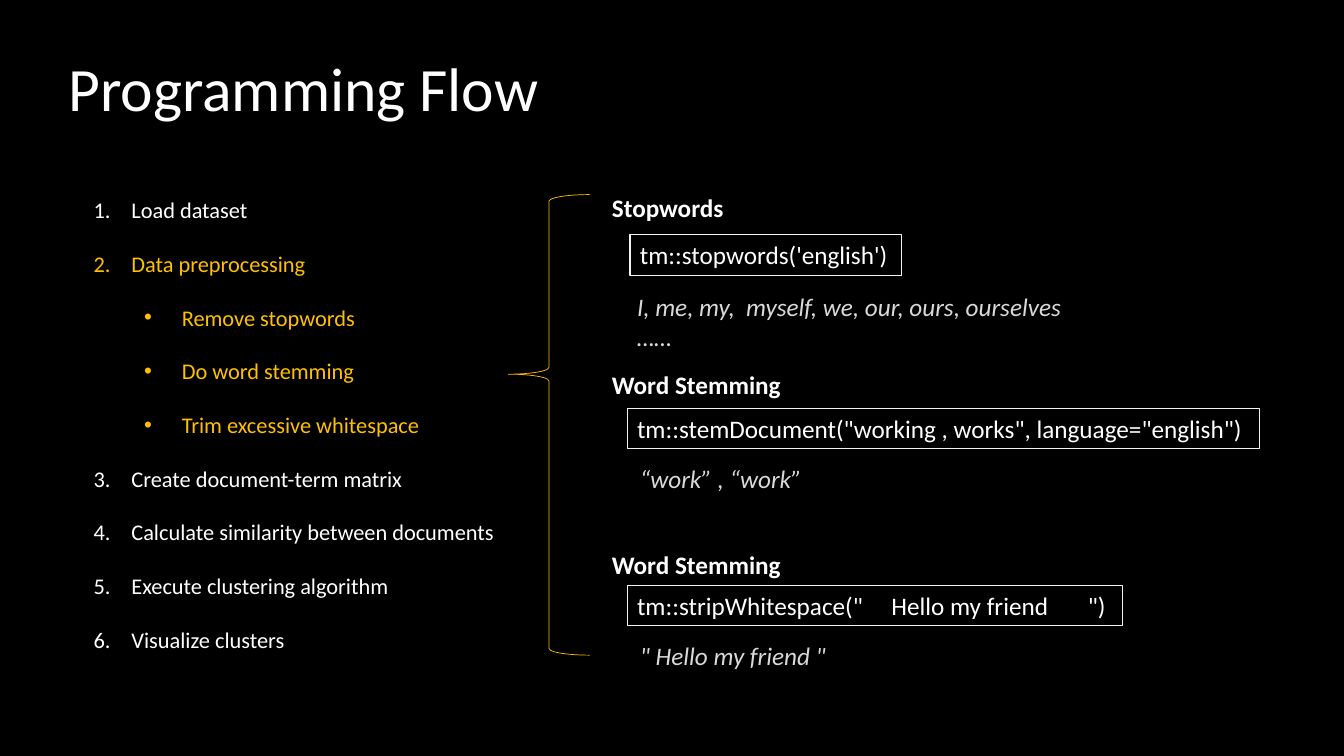
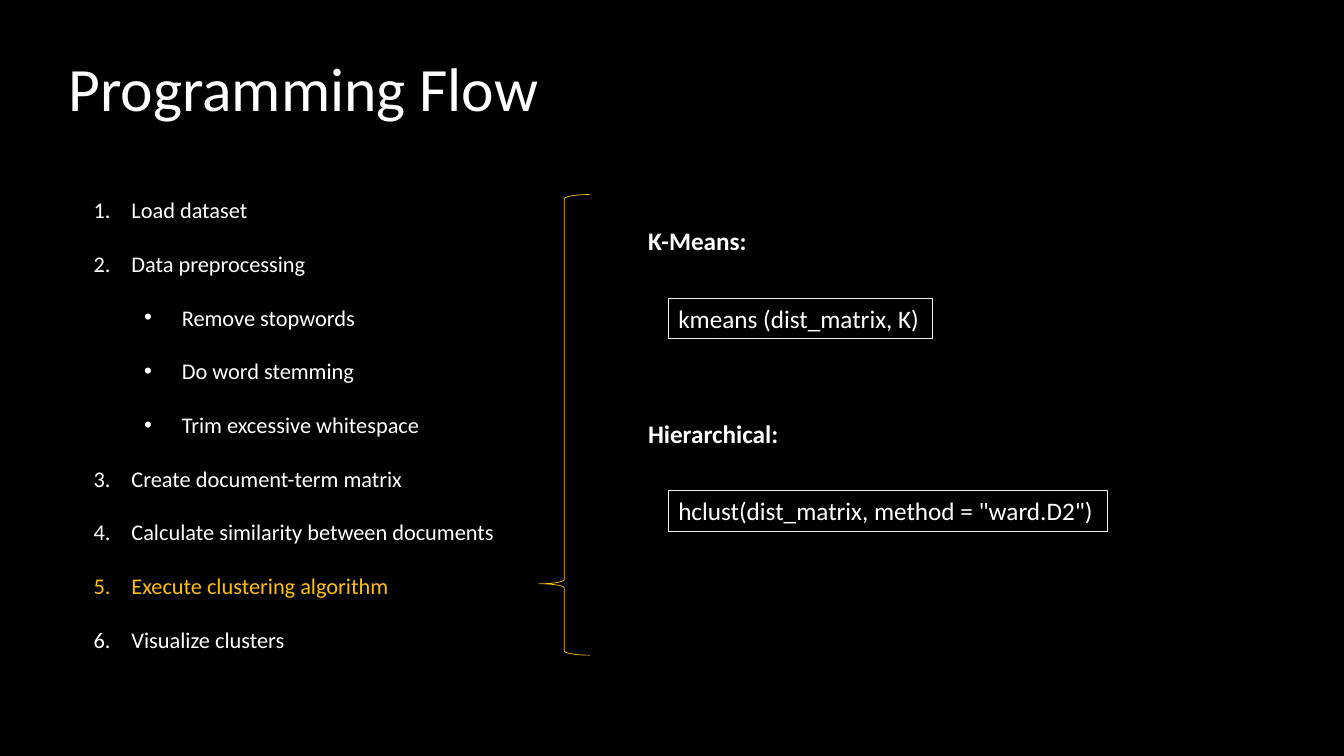
from lxml.etree import SubElement
from pptx import Presentation
from pptx.dml.color import RGBColor
from pptx.enum.shapes import MSO_SHAPE
from pptx.enum.text import MSO_ANCHOR, MSO_AUTO_SIZE
from pptx.oxml.ns import qn
from pptx.util import Pt

FONT = "Calibri"
BLACK, WHITE, GOLD = "000000", "FFFFFF", "FFC000"
LIGHT, GREY = "F2F2F2", "D9D9D9"

# Content shared by both slides: outline entries as (level, text)
TITLE = "Programming Flow"
STEPS = [
    (0, "Load dataset"),
    (0, "Data preprocessing"),
    (1, "Remove stopwords"),
    (1, "Do word stemming"),
    (1, "Trim excessive whitespace"),
    (0, "Create document-term matrix"),
    (0, "Calculate similarity between documents"),
    (0, "Execute clustering algorithm"),
    (0, "Visualize clusters"),
]

# Content per slide: details are (role, text, left, top, width)
SLIDES = [
    {
        "active": range(1, 5),
        "outline_height": 350.6,
        "brace": {"left": 363, "point": 0.39},
        "heading_spacing": 1.75,
        "details": [
            ("heading", "Stopwords", 430, 117.4, 95),
            ("code", "tm::stopwords('english')", 450, 167.6, 193.7),
            ("result", "I, me, my,  myself, we, our, ours, ourselves ……", 448, 204.5, 346),
            ("heading", "Word Stemming", 430, 244, 136),
            ("code", 'tm::stemDocument("working , works", language="english")', 448, 291.6, 452),
            ("result", "“work” , “work”", 450, 327.6, 131),
            ("heading", "Word Stemming", 430, 373, 136),
            ("code", 'tm::stripWhitespace("     Hello my friend       ")', 448, 418, 354),
            ("result", '" Hello my friend "', 450, 453.6, 151),
        ],
    },
    {
        "active": [7],
        "outline_height": 356.4,
        "brace": {"left": 385, "point": 0.845},
        "heading_spacing": 1,
        "details": [
            ("heading", "K-Means:", 455.8, 157.7, 85.7),
            ("code", "kmeans (dist_matrix, K)", 477.4, 213, 188.6),
            ("heading", "Hierarchical:", 455.8, 295, 112.3),
            ("code", 'hclust(dist_matrix, method = "ward.D2")', 477.4, 350.6, 314),
        ],
    },
]

ROLES = {
    "heading": {"color": WHITE, "bold": True},
    "code": {"color": WHITE},
    "result": {"color": GREY, "italic": True},
}
BRACE_TOP, BRACE_RIGHT, BRACE_HEIGHT = 139, 421.2, 329


def rgb(value):
    return RGBColor.from_string(value)


def style(para, size, color, bold=False, italic=False, spacing=1):
    font = para.font
    font.name, font.size, font.bold, font.italic = FONT, Pt(size), bold, italic
    font.color.rgb = rgb(color)
    para.line_spacing = spacing


def add_box(page, left, top, width, height):
    return page.shapes.add_textbox(Pt(left), Pt(top), Pt(width), Pt(height))


def add_title(page):
    frame = add_box(page, 41.8, 13, 828, 104.4).text_frame
    frame.word_wrap = True
    frame.vertical_anchor = MSO_ANCHOR.MIDDLE
    frame.text = TITLE
    style(frame.paragraphs[0], 44, WHITE, spacing=0.9)


def set_bullet(para, level):
    properties = para._p.get_or_add_pPr()
    properties.set("marL", str(Pt(27 + 36 * level)))
    properties.set("indent", str(Pt(-27)))
    # The bullet has to precede the default run properties
    font_properties = properties.find(qn("a:defRPr"))
    typeface = SubElement(properties, qn("a:buFont"), typeface="Arial" if level else "+mj-lt")
    if level:
        bullet = SubElement(properties, qn("a:buChar"), char="•")
    else:
        bullet = SubElement(properties, qn("a:buAutoNum"), type="arabicPeriod")
    for element in (typeface, bullet):
        font_properties.addprevious(element)


def add_outline(page, active, height):
    frame = add_box(page, 59.8, 117.4, 352, height).text_frame
    frame.word_wrap = True
    for index, (level, text) in enumerate(STEPS):
        para = frame.add_paragraph() if index else frame.paragraphs[0]
        para.text, para.level = text, level
        style(para, 16, GOLD if index in active else WHITE, spacing=2.0)
        set_bullet(para, level)


def add_brace(page, left, point):
    brace = page.shapes.add_shape(MSO_SHAPE.LEFT_BRACE, Pt(left), Pt(BRACE_TOP),
                                  Pt(BRACE_RIGHT - left), Pt(BRACE_HEIGHT))
    brace.shadow.inherit = False
    brace.fill.background()
    brace.line.color.rgb = rgb(GOLD)
    brace.line.width = Pt(0.5)
    brace.adjustments[0] = 0.083
    brace.adjustments[1] = point


def add_detail(page, role, text, left, top, width, heading_spacing):
    spacing = heading_spacing if role == "heading" else 1
    box = add_box(page, left, top, width, 41 if spacing > 1 else 29)
    if role == "code":
        box.line.color.rgb = rgb(LIGHT)
        box.line.width = Pt(0.75)
    frame = box.text_frame
    frame.word_wrap = False
    frame.auto_size = MSO_AUTO_SIZE.SHAPE_TO_FIT_TEXT
    frame.text = text
    style(frame.paragraphs[0], 18, spacing=float(spacing), **ROLES[role])


def main():
    deck = Presentation()
    deck.slide_width, deck.slide_height = Pt(960), Pt(540)
    for content in SLIDES:
        page = deck.slides.add_slide(deck.slide_layouts[6])
        page.background.fill.solid()
        page.background.fill.fore_color.rgb = rgb(BLACK)
        add_title(page)
        add_outline(page, content["active"], content["outline_height"])
        add_brace(page, **content["brace"])
        for detail in content["details"]:
            add_detail(page, *detail, content["heading_spacing"])
    deck.save("out.pptx")


if __name__ == "__main__":
    main()
